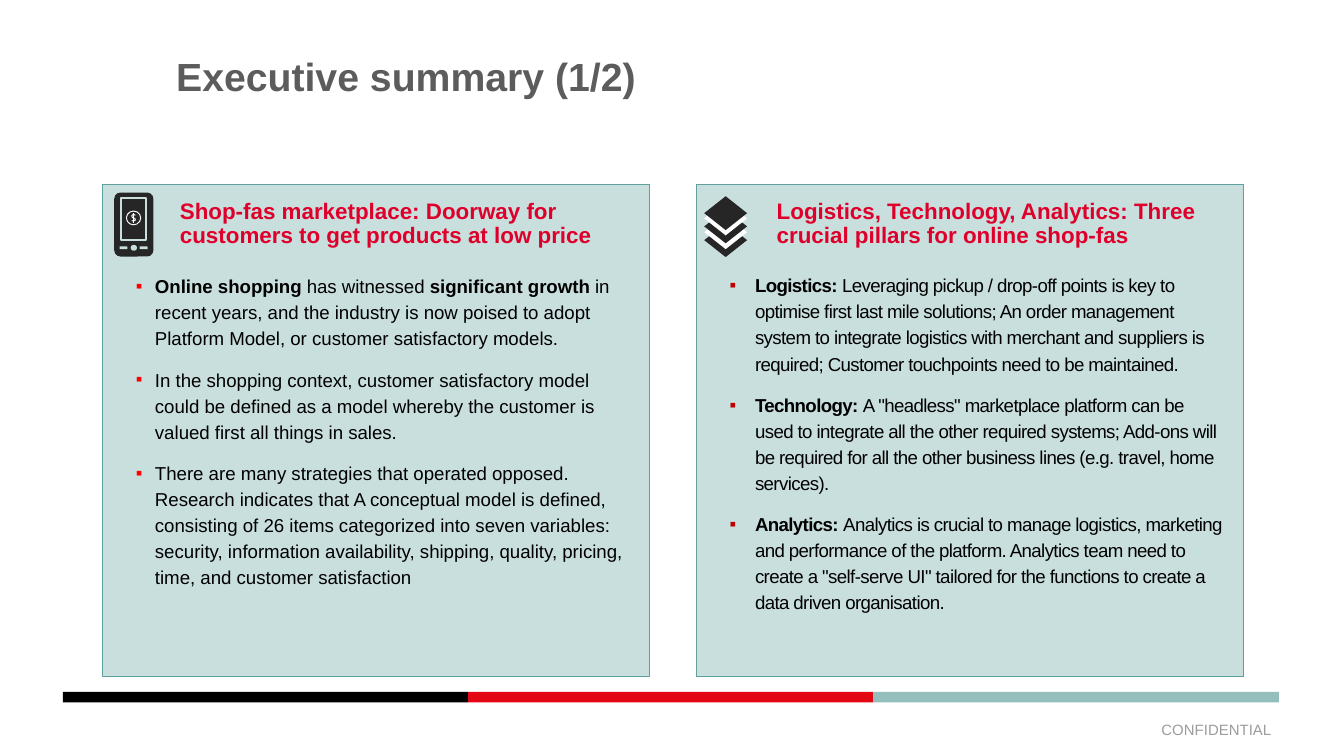
"""Builds an executive summary slide with two text panels and icons."""
from lxml import etree
from pptx import Presentation
from pptx.dml.color import RGBColor
from pptx.enum.shapes import MSO_CONNECTOR as Connector, MSO_SHAPE as Shape
from pptx.enum.text import MSO_ANCHOR as Anchor, PP_ALIGN as Align
from pptx.oxml.ns import qn
from pptx.util import Cm, Pt

BLACK = RGBColor(0x00, 0x00, 0x00)
WHITE = RGBColor(0xFF, 0xFF, 0xFF)
RED = RGBColor(0xE3, 0x06, 0x13)
TEAL = RGBColor(0x94, 0xBF, 0xBD)
PANEL = RGBColor(0x94, 0xC0, 0xBE)
PANEL_LINE = RGBColor(0x5E, 0xA0, 0x9E)
PALE = RGBColor(0xC9, 0xDF, 0xDE)
CRIMSON = RGBColor(0xDE, 0x00, 0x2B)
TITLE_GREY = RGBColor(0x5C, 0x5C, 0x5C)
FOOTER_GREY = RGBColor(0x9C, 0x9C, 0x9C)
ICON = RGBColor(0x26, 0x26, 0x26)
BULLET_RED = RGBColor(0xFF, 0x00, 0x00)
BULLET_DARK = RGBColor(0xC0, 0x00, 0x00)

TITLE = {"size": Pt(21), "bold": True, "color": TITLE_GREY}
HEADING = {"size": Pt(12), "bold": True, "color": CRIMSON}
FOOTER = {"size": Pt(8), "bold": False, "color": FOOTER_GREY}
BODY = {"size": Pt(10), "color": BLACK}

MARKETPLACE = [
    [("Online shopping ", True), ("has witnessed ", False), ("significant growth ", True),
     ("in recent years, and the industry is now poised to adopt Platform Model, "
      "or customer satisfactory models.", False)],
    [("In the shopping context, customer satisfactory model could be defined as a model "
      "whereby the customer is valued first all things in sales.", False)],
    [("There are many strategies that operated opposed. Research indicates that A conceptual "
      "model is defined, consisting of 26 items categorized into seven variables: security, "
      "information availability, shipping, quality, pricing, time, and customer satisfaction",
      False)],
]
PILLARS = [
    [("Logistics: ", True),
     ("Leveraging pickup / drop-off points is key to optimise first last mile solutions; "
      "An order management system to integrate logistics with merchant and suppliers is "
      "required; Customer touchpoints need to be maintained.", False)],
    [("Technology: ", True),
     ('A "headless" marketplace platform can be used to integrate all the other required '
      "systems; Add-ons will be required for all the other business lines (e.g. travel, "
      "home services).", False)],
    [("Analytics: ", True),
     ("Analytics is crucial to manage logistics, marketing and performance of the platform. "
      'Analytics team need to create a "self-serve UI" tailored for the functions to create '
      "a data driven organisation.", False)],
]


def add_shape(slide, kind, place, fill=None, line=None, width=0.25):
    """Add a preset shape, with place given in centimetres."""
    shape = slide.shapes.add_shape(kind, *map(Cm, place))
    shape.shadow.inherit = False
    for part, color in ((shape.fill, fill), (shape.line.fill, line)):
        if color is None:
            part.background()
        else:
            part.solid()
            part.fore_color.rgb = color
    if line is not None:
        shape.line.width = Pt(width)
    return shape


def add_panel(slide, place):
    """Add a half transparent panel."""
    panel = add_shape(slide, Shape.RECTANGLE, place, PANEL, PANEL_LINE)
    color = panel.fill._xPr.find(qn("a:solidFill"))[0]
    etree.SubElement(color, qn("a:alpha"), val="50000")


def add_box(slide, place, inset=True):
    """Add an empty wrapping text box and return its frame."""
    frame = slide.shapes.add_textbox(*map(Cm, place)).text_frame
    frame.word_wrap = True
    if not inset:
        for side in ("left", "right", "top", "bottom"):
            setattr(frame, f"margin_{side}", 0)
    return frame


def add_span(para, text, style):
    """Add a run whose font follows the style values."""
    span = para.add_run()
    span.text = text
    span.font.name = "Arial"
    for name, value in style.items():
        if name == "color":
            span.font.color.rgb = value
        else:
            setattr(span.font, name, value)
    return span


def add_line_of_text(slide, place, text, style, inset=True, **layout):
    """Add a text box with a single paragraph."""
    frame = add_box(slide, place, inset)
    para = frame.paragraphs[0]
    for name, value in layout.items():
        setattr(para, name, value)
    add_span(para, text, style)
    return frame


def add_bullet(para, color, indent):
    """Give a paragraph a coloured square bullet with a hanging indent."""
    props = para._p.get_or_add_pPr()
    props.set("marL", str(Cm(indent)))
    props.set("indent", str(-Cm(indent)))
    tint = etree.SubElement(props, qn("a:buClr"))
    etree.SubElement(tint, qn("a:srgbClr"), val=str(color))
    etree.SubElement(props, qn("a:buFont"), typeface="Arial")
    etree.SubElement(props, qn("a:buChar"), char="▪")


def add_bullets(slide, place, items, color, indent, tracking=0):
    """Add a bulleted list of mixed bold and plain spans."""
    frame = add_box(slide, place, inset=False)
    for index, spans in enumerate(items):
        para = frame.add_paragraph() if index else frame.paragraphs[0]
        add_bullet(para, color, indent)
        layout = {"line_spacing": Pt(14), "space_before": Pt(3 if index else 0),
                  "space_after": Pt(5)}
        for name, value in layout.items():
            setattr(para, name, value)
        for text, bold in spans:
            span = add_span(para, text, {**BODY, "bold": bold})
            if tracking:
                span._r.get_or_add_rPr().set("spc", str(tracking))


def add_dollar(slide, left, top):
    """Draw a small coin with a dollar sign."""
    add_shape(slide, Shape.OVAL, (left, top, 0.27, 0.26), line=WHITE, width=0.5)
    points = [(Cm(left + x), Cm(top + y)) for x, y in (
        (0.17, 0.08), (0.13, 0.06), (0.1, 0.09), (0.11, 0.12),
        (0.16, 0.14), (0.17, 0.17), (0.13, 0.19), (0.1, 0.18))]
    builder = slide.shapes.build_freeform(*points[0])
    builder.add_line_segments(points[1:], close=False)
    curve = builder.convert_to_shape()
    curve.shadow.inherit = False
    curve.fill.background()
    middle = left + 0.135
    stem = slide.shapes.add_connector(
        Connector.STRAIGHT, Cm(middle), Cm(top + 0.04), Cm(middle), Cm(top + 0.22))
    etree.SubElement(stem._element.spPr, qn("a:effectLst"))
    for stroke in (curve, stem):
        stroke.line.color.rgb = WHITE
        stroke.line.width = Pt(0.5)


def add_phone(slide, left, top):
    """Draw a phone with a screen, three buttons and a coin."""
    body = add_shape(slide, Shape.ROUNDED_RECTANGLE, (left, top, 0.74, 1.21), ICON)
    body.adjustments[0] = 0.16
    add_shape(slide, Shape.RECTANGLE, (left + 0.13, top + 0.11, 0.48, 0.79),
              line=PALE, width=1.1)
    for offset in (0.1, 0.48):
        add_shape(slide, Shape.ROUNDED_RECTANGLE,
                  (left + offset, top + 1.02, 0.15, 0.05), PALE)
    add_shape(slide, Shape.OVAL, (left + 0.31, top + 0.99, 0.12, 0.11), PALE)
    add_dollar(slide, left + 0.23, top + 0.35)


def add_layers(slide, left, top):
    """Draw a stack of dark diamonds parted by white ones."""
    for offset, color in ((0.51, ICON), (0.36, WHITE), (0.25, ICON), (0.1, WHITE), (0, ICON)):
        add_shape(slide, Shape.DIAMOND, (left, top + offset, 0.81, 0.64), color)


def main():
    """Build and save the deck."""
    deck = Presentation()
    deck.slide_width, deck.slide_height = Cm(25.4), Cm(14.29)
    slide = deck.slides.add_slide(deck.slide_layouts[6])

    for index, color in enumerate((BLACK, RED, TEAL)):
        add_shape(slide, Shape.RECTANGLE, (1.19 + 7.66 * index, 13.08, 7.66, 0.2), color)
    footer = add_line_of_text(slide, (18.36, 13.41, 5.92, 0.76), "CONFIDENTIAL", FOOTER,
                              alignment=Align.RIGHT)
    footer.vertical_anchor = Anchor.MIDDLE
    add_line_of_text(slide, (3.33, 1.09, 20.85, 2.39), "Executive summary (1/2)", TITLE,
                     inset=False, line_spacing=0.9)

    for left in (1.94, 13.16):
        add_panel(slide, (left, 3.48, 10.34, 9.3))
    add_bullets(slide, (2.57, 5.13, 9.32, 6.02), MARKETPLACE, BULLET_RED, 0.36)
    add_bullets(slide, (13.79, 5.11, 9.32, 7.34), PILLARS, BULLET_DARK, 0.48, tracking=-30)
    for left, width, text in (
            (3.15, 8.97, "Shop-fas marketplace: Doorway for customers to get products "
                         "at low price"),
            (14.43, 9.07, "Logistics, Technology, Analytics: Three crucial pillars for "
                          "online shop-fas")):
        add_line_of_text(slide, (left, 3.66, width, 1.17), text, HEADING, line_spacing=0.9)

    add_phone(slide, 2.16, 3.64)
    add_layers(slide, 13.31, 3.71)
    deck.save("out.pptx")


if __name__ == "__main__":
    main()
